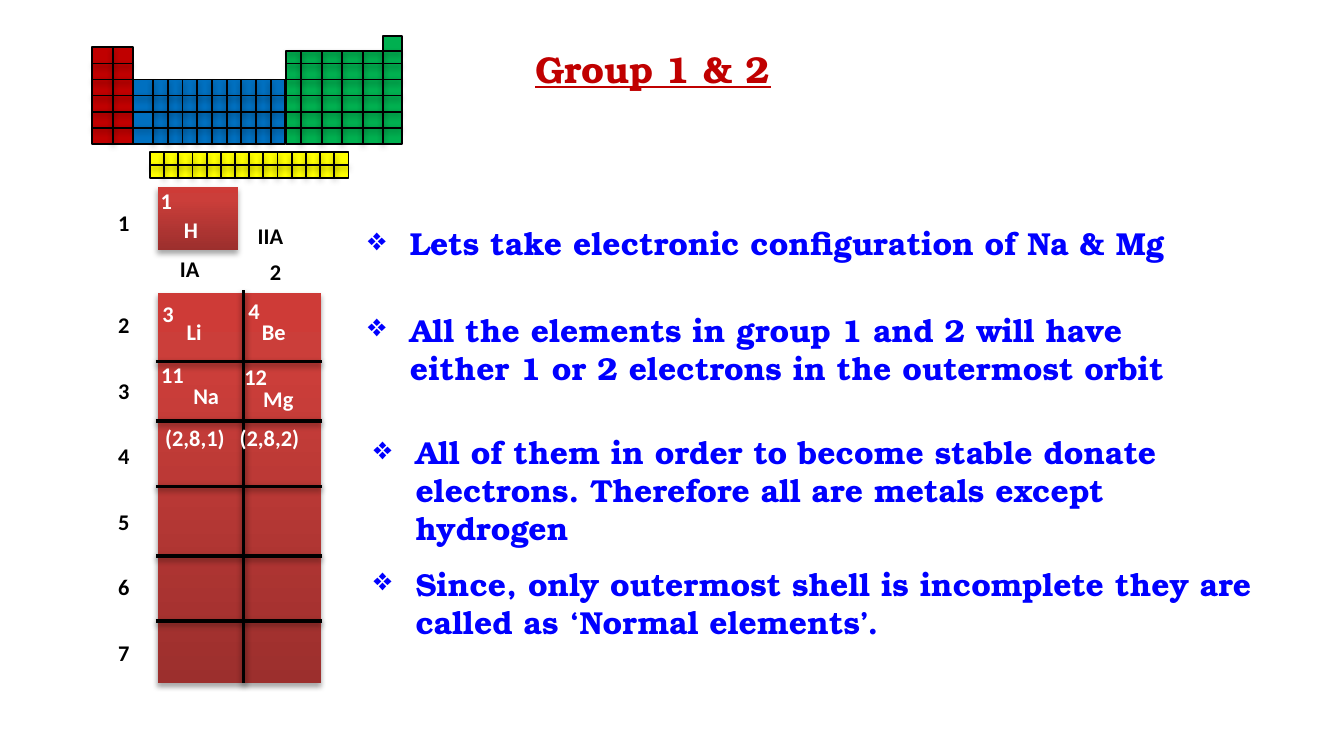
from dataclasses import dataclass
from typing import Optional

import pptx
import pptx.dml.color
import pptx.enum.shapes
import pptx.enum.text
import pptx.oxml
import pptx.oxml.ns
import pptx.util
from lxml import etree

Pt = pptx.util.Pt
qn = pptx.oxml.ns.qn
RECT = pptx.enum.shapes.MSO_SHAPE.RECTANGLE
LINE = pptx.enum.shapes.MSO_CONNECTOR.STRAIGHT
TOP = pptx.enum.text.MSO_ANCHOR.TOP
MID = pptx.enum.text.MSO_ANCHOR.MIDDLE
FIT = pptx.enum.text.MSO_AUTO_SIZE.SHAPE_TO_FIT_TEXT

SMALL = {"name": "Calibri", "size": Pt(12), "bold": True}
POINT = {"name": "TeX Gyre Bonum", "size": Pt(17), "bold": True}
HEAD = {"name": "TeX Gyre Bonum", "size": Pt(20), "bold": True, "underline": True}
BLACK, WHITE = "000000", "FFFFFF"
PITCH, BASE = 8.6, 77  # row height and bottom edge of the small table


@dataclass
class Label:
    text: str
    x: float
    y: float
    w: float
    color: str = WHITE
    wrap: bool = False
    anchor: object = MID


@dataclass
class Point:
    text: str
    x: float
    y: float
    w: float
    h: float


@dataclass
class Block:
    color: str
    x: float
    y: float
    w: float
    rows: int
    cuts: list
    pitch: float = PITCH


def paint(target, color: str) -> None:
    target.rgb = pptx.dml.color.RGBColor.from_string(color)


def shade(shape, alpha: int, dist: float) -> None:
    """Give a shape or line a soft shadow straight below it."""
    props = shape._element.spPr
    effect = props.find(qn("a:effectLst"))
    if effect is None:
        effect = etree.SubElement(props, qn("a:effectLst"))
    drop = etree.SubElement(effect, qn("a:outerShdw"), blurRad=str(Pt(3.1)),
                            dist=str(Pt(dist)), dir="5400000", rotWithShape="0")
    tint = etree.SubElement(drop, qn("a:srgbClr"), val=BLACK)
    etree.SubElement(tint, qn("a:alpha"), val=str(alpha * 1000))


def rule(x1: float, y1: float, x2: float, y2: float, width: float = 1):
    line = slide.shapes.add_connector(LINE, Pt(x1), Pt(y1), Pt(x2), Pt(y2))
    paint(line.line.color, BLACK)
    line.line.width = Pt(width)
    shade(line, 38, 1.6)
    return line


def join(line, shape, first: int, last: int) -> None:
    line.begin_connect(shape, first)
    line.end_connect(shape, last)


def flat(shape, color: str) -> None:
    shape.shadow.inherit = False
    shape.fill.solid()
    paint(shape.fill.fore_color, color)
    paint(shape.line.color, BLACK)
    shape.line.width = Pt(1)


def grid(block: Block) -> None:
    """Draw a filled block cut into equal rows and given columns."""
    high = block.rows * block.pitch
    shape = slide.shapes.add_shape(RECT, Pt(block.x), Pt(block.y), Pt(block.w), Pt(high))
    flat(shape, block.color)
    for x in block.cuts:
        line = rule(x, block.y, x, block.y + high)
        if abs(x - block.x - block.w / 2) < 0.1:
            join(line, shape, 0, 2)
    for row in range(1, block.rows):
        y = block.y + row * block.pitch
        line = rule(block.x, y, block.x + block.w, y)
        if row * 2 == block.rows:
            join(line, shape, 1, 3)


def glow(x: float, y: float, w: float, h: float) -> None:
    """Draw a red box that darkens towards its foot."""
    shape = slide.shapes.add_shape(RECT, Pt(x), Pt(y), Pt(w), Pt(h))
    shape.shadow.inherit = False
    shape.fill.gradient()
    shape.fill.gradient_angle = 90
    stops = shape._element.spPr.find(qn("a:gradFill")).find(qn("a:gsLst"))
    for stop in list(stops):
        stops.remove(stop)
    for place, color in ((0, "9C2F2D"), (80, "CB3E3A"), (100, "CE3B37")):
        stop = etree.SubElement(stops, qn("a:gs"), pos=str(place * 1000))
        etree.SubElement(stop, qn("a:srgbClr"), val=color)
    shape.line.fill.background()
    shade(shape, 35, 1.8)


def write(shape, text: str, style: dict, color: str, wrap: bool = True,
          anchor=TOP, mark: Optional[str] = None) -> None:
    frame = shape.text_frame
    frame.word_wrap = wrap
    frame.auto_size = FIT
    frame.vertical_anchor = anchor
    para = frame.paragraphs[0]
    para.text = text
    para.alignment = pptx.enum.text.PP_ALIGN.LEFT
    if mark:
        props = para._p.get_or_add_pPr()
        props.set("marL", str(Pt(22.5)))
        props.set("indent", str(Pt(-22.5)))
        etree.SubElement(props, qn("a:buChar"), char=mark)
    font = para.runs[0].font
    for key, value in style.items():
        setattr(font, key, value)
    paint(font.color, color)


def box(x: float, y: float, w: float, h: float):
    return slide.shapes.add_textbox(Pt(x), Pt(y), Pt(w), Pt(h))


deck = pptx.Presentation()
deck.slide_width, deck.slide_height = Pt(720), Pt(405)
slide = deck.slides.add_slide(deck.slide_layouts[5])

# Title
title = slide.shapes.title
title.left, title.top, title.width, title.height = Pt(279.4), Pt(20.9), Pt(157), Pt(28.8)
write(title, "Group 1 & 2", HEAD, "C00000")

# Large view of groups 1 and 2
glow(84.5, 157, 87.5, 209)
rule(130.4, 155.5, 130.4, 366, 2)
for y in (193.7, 225.4, 260.6, 298, 332.6):
    rule(83.5, y, 172.5, y, 2)
glow(84.5, 100, 43, 34)

# Element names, shells and headings
labels = [
    Label("3", 79.9, 157, 32.4, wrap=True), Label("Li", 92.9, 167, 23),
    Label("4", 126, 155.5, 32.4, wrap=True), Label("Be", 133.2, 167, 49.7, wrap=True),
    Label("11", 79.2, 190.1, 46, wrap=True), Label("Na", 96.5, 200.9, 28),
    Label("12", 123.8, 190.8, 51, wrap=True), Label("Mg", 133.9, 203, 51, wrap=True),
    Label("1", 79, 96.5, 32.4, wrap=True), Label("H", 91.4, 112.3, 22.3),
    Label("(2,8,1)", 81.4, 223.9, 46.8, anchor=TOP),
    Label("(2,8,2)", 121.3, 223.9, 46.8, anchor=TOP),
    Label("IA", 89.3, 133.2, 25.2, BLACK), Label("IIA", 131, 115.2, 28, BLACK),
    Label("2", 137.5, 134.6, 20.9, BLACK), Label("1", 56.2, 108.7, 20.9, BLACK),
]
labels += [Label(str(n + 2), 56.2, 163.2 + 35.1 * n, 20.9, BLACK) for n in range(6)]
for label in labels:
    write(box(label.x, label.y, label.w, 21.6), label.text, SMALL,
          label.color, label.wrap, label.anchor)

# Small table: left, middle and lower blocks
blocks = [
    Block("C00000", 49.5, BASE - 6 * PITCH, 21.8, 6, [60.4]),
    Block("0070C0", 71.3, BASE - 4 * PITCH, 81.6, 4, [82.1 + 7.86 * n for n in range(9)]),
    Block("0070C0", 71.3, BASE - 2 * PITCH, 10.8, 2, []),
    Block("FFFF00", 80.3, 81.4, 106.4, 2, [80.3 + 7.6 * n for n in range(1, 14)], 6.9),
]
for block in blocks:
    grid(block)

# Small table: stepped right block
left, right, step, roof = 153.4, 215.3, 205.3, 27.4
path = slide.shapes.build_freeform(Pt(left), Pt(roof), scale=1.0)
path.add_line_segments([(Pt(x), Pt(y)) for x, y in (
    (step, roof), (step, 19.4), (right, 19.4), (right, BASE), (left, BASE))])
flat(path.convert_to_shape(), "00B050")
for n in range(5):
    rule(161.3 + 11 * n, roof, 161.3 + 11 * n, BASE)
for y in [roof] + [BASE - PITCH * n for n in range(1, 6)]:
    rule(left, y, right, y)

# Key points
points = [
    Point("Lets take electronic configuration of Na & Mg", 190, 116.6, 448, 28),
    Point("All the elements in group 1 and 2 will have either 1 or 2 electrons "
          "in the outermost orbit", 190, 162.7, 477.4, 48.2),
    Point("All of them in order to become stable donate electrons. "
          "Therefore all are metals except hydrogen", 193, 228.2, 486, 69),
    Point("Since, only outermost shell is incomplete they are called as "
          "‘Normal elements’.", 193, 298.8, 493.2, 48.2),
]
for point in points:
    write(box(point.x, point.y, point.w, point.h), point.text, POINT, "0000FF", mark="❖")

deck.save("out.pptx")
